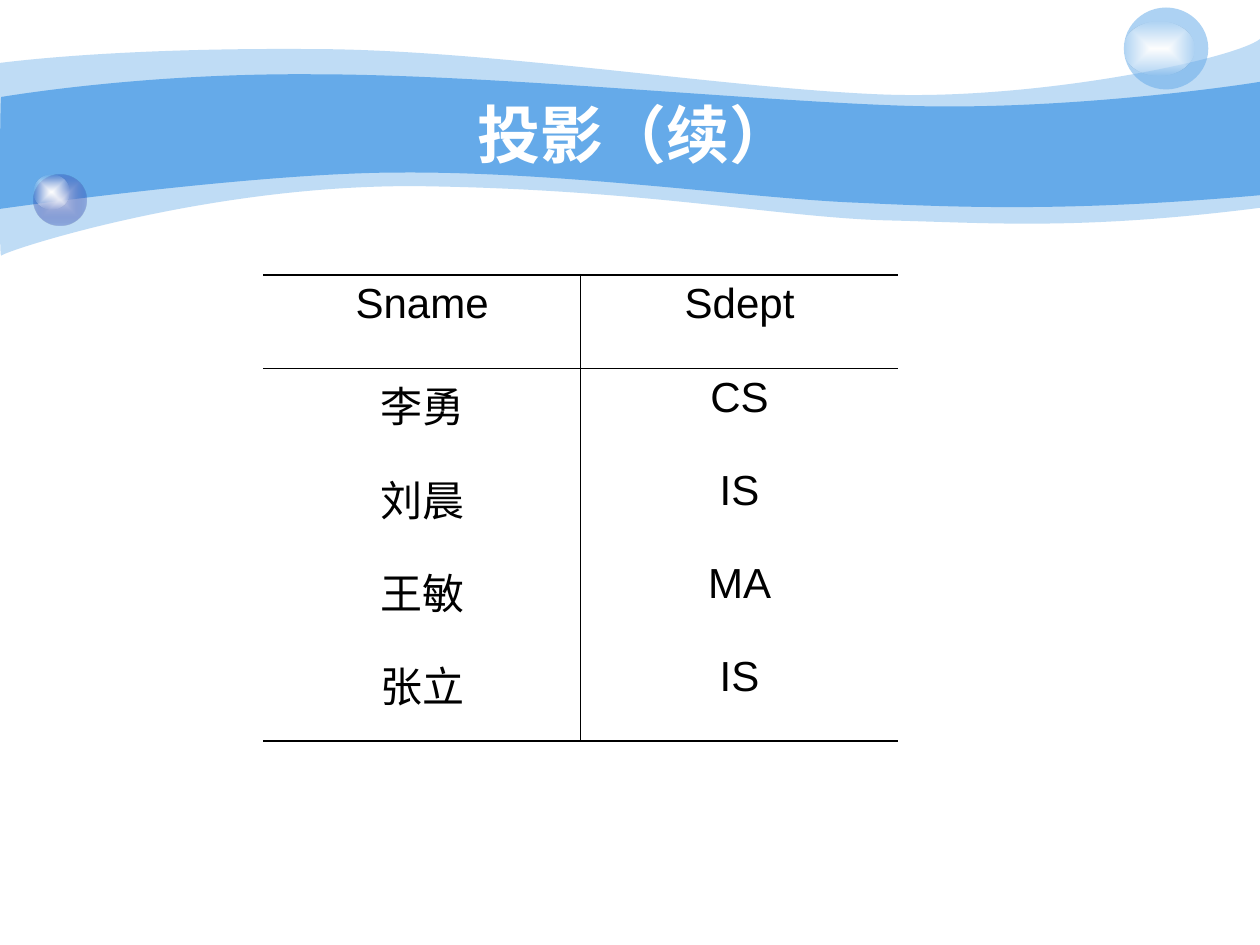
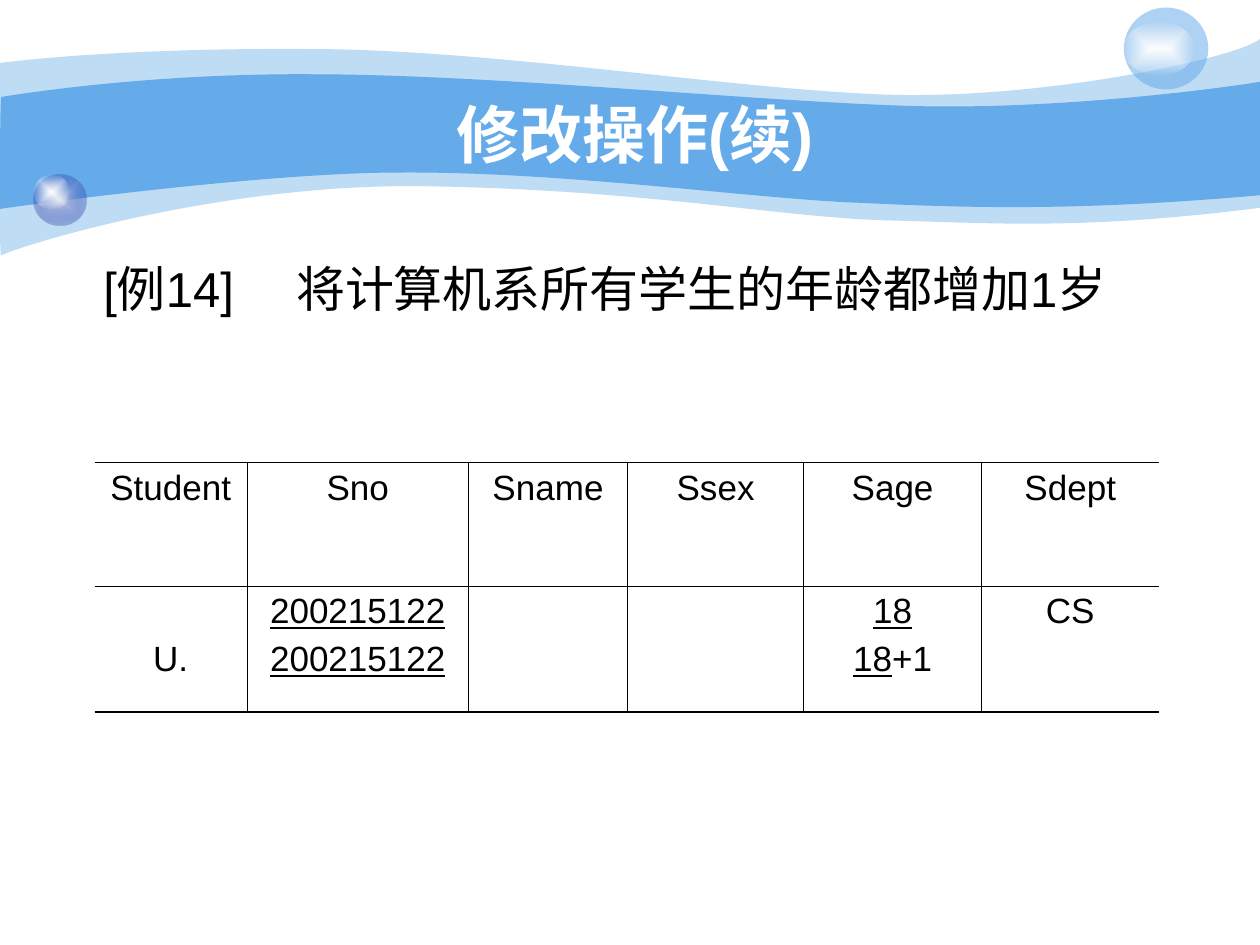
from dataclasses import dataclass
from typing import NamedTuple

from lxml import etree
from pptx import Presentation
from pptx.dml.color import RGBColor
from pptx.enum.shapes import MSO_SHAPE
from pptx.enum.text import MSO_ANCHOR, PP_ALIGN
from pptx.oxml.ns import qn
from pptx.util import Inches, Pt

OVAL = MSO_SHAPE.OVAL
MIDDLE = MSO_ANCHOR.MIDDLE
TOP = MSO_ANCHOR.TOP
CENTER = PP_ALIGN.CENTER
LEFT = PP_ALIGN.LEFT

SKY = RGBColor(0x65, 0xAA, 0xE9)
LILAC = RGBColor(0xC7, 0xCE, 0xE9)
NAVY = RGBColor(0x23, 0x3D, 0xA9)
WHITE = RGBColor(0xFF, 0xFF, 0xFF)
BLACK = RGBColor(0, 0, 0)

FONT = "Arial"
RULE = Pt(1.08)
HAIRLINE = Pt(0.45)
NO_RULE = 0
NO_GRID_STYLE = "{2D5ABB26-0587-4C30-8999-92F81FD0307C}"


class Wave(NamedTuple):
    """A band: a start, then segments of one point (line) or three (Bezier curve)."""
    start: tuple
    segments: tuple
    opacity: int


class Bubble(NamedTuple):
    left: float
    top: float
    width: float
    height: float
    inner: RGBColor
    outer: RGBColor
    outer_opacity: int


class Line(NamedTuple):
    """One line of a cell, its underlined part first."""
    underlined: str = ""
    plain: str = ""


@dataclass
class Cell:
    lines: tuple = ()
    top_inset: float = 0.05


@dataclass
class Grid:
    left: float
    top: float
    columns: tuple
    rows: tuple
    size: int
    cells: list


WAVES = (
    Wave((0, 0.5), (
        ((0.24, 0.47), (1.07, 0.38), (2.47, 0.39)),
        ((3.86, 0.39), (5.75, 0.7), (6.99, 0.75)),
        ((8.22, 0.8), (9.8, 0.47), (10, 0.31)),
        ((10, 1.65),),
        ((8.58, 1.83), (7.87, 1.77), (7.05, 1.75)),
        ((6.22, 1.73), (5.15, 1.51), (3.43, 1.48)),
        ((1.72, 1.44), (0.04, 1.99), (0.01, 2.03)),
        ((-0.01, 2.08), (0, 0.75), (0, 0.5)),
    ), 41),
    Wave((0.01, 0.77), (
        ((0.02, 0.77), (1.1, 0.58), (2.48, 0.59)),
        ((3.86, 0.59), (5.95, 0.8), (7.18, 0.84)),
        ((8.41, 0.88), (9.76, 0.69), (10, 0.65)),
        ((10, 1.55),),
        ((8.53, 1.68), (7.65, 1.65), (6.82, 1.61)),
        ((5.99, 1.58), (4.47, 1.36), (3.17, 1.37)),
        ((2.03, 1.37), (-0.02, 1.66), (-0.01, 1.66)),
        ((0, 1.66), (0, 0.77), (0.01, 0.77)),
    ), 100),
)

BUBBLES = (
    Bubble(0.27, 1.39, 0.42, 0.4, LILAC, NAVY, 31),
    Bubble(0.27, 1.39, 0.28, 0.27, WHITE, WHITE, 0),
    Bubble(8.92, 0.06, 0.67, 0.65, SKY, SKY, 53),
    Bubble(8.92, 0.17, 0.56, 0.43, WHITE, WHITE, 0),
)


def plain_cells(*texts: str) -> list:
    return [Cell((Line(plain=text),)) for text in texts]


PROJECTION = Grid(
    2.09, 2.18, (2.52,) * 2, (0.74,) * 5, 24,
    [plain_cells(*row) for row in (
        ("Sname", "Sdept"), ("李勇", "CS"), ("刘晨", "IS"), ("王敏", "MA"), ("张立", "IS"))],
)

UPDATE = Grid(
    0.75, 3.67, (1.21, 1.76, 1.26, 1.4, 1.41, 1.41), (0.98, 1), 20,
    [
        plain_cells("Student", "Sno", "Sname", "Ssex", "Sage", "Sdept"),
        [
            Cell((Line(plain="U."),), top_inset=0.43),
            Cell((Line("200215122"),) * 2),
            Cell(),
            Cell(),
            Cell((Line("18"), Line("18", "+1"))),
            *plain_cells("CS"),
        ],
    ],
)


def set_opacity(color_holder, percent: int) -> None:
    color = color_holder.find(".//" + qn("a:srgbClr"))
    etree.SubElement(color, qn("a:alpha"), val=str(percent * 1000))


def fill_sky(shape, opacity: int) -> None:
    shape.fill.solid()
    shape.fill.fore_color.rgb = SKY
    if opacity < 100:
        set_opacity(shape.element.spPr.find(qn("a:solidFill")), opacity)


def fill_from_center(shape, bubble: Bubble) -> None:
    """Fade from the inner colour to the translucent outer one."""
    shape.fill.gradient()
    for stop, color in zip(shape.fill.gradient_stops, (bubble.inner, bubble.outer)):
        stop.color.rgb = color
    gradient = shape.element.spPr.find(qn("a:gradFill"))
    set_opacity(gradient.findall(".//" + qn("a:gs"))[-1], bubble.outer_opacity)
    direction = gradient.find(qn("a:lin"))
    center = etree.Element(qn("a:path"), {"path": "rect"})
    etree.SubElement(center, qn("a:fillToRect"), {side: "50000" for side in "ltrb"})
    gradient.replace(direction, center)


def bend(band, segments: tuple) -> None:
    """Join the straight steps of each three-point segment into one Bezier curve."""
    steps = iter(band.element.spPr.findall(".//" + qn("a:lnTo")))
    for segment in segments:
        controls = [next(steps) for _ in segment]
        if len(controls) == 1:
            continue
        curve = etree.Element(qn("a:cubicBezTo"))
        controls[0].addprevious(curve)
        for control in controls:
            curve.append(control.find(qn("a:pt")))
            control.getparent().remove(control)


def add_wave(slide, wave: Wave) -> None:
    builder = slide.shapes.build_freeform(*(Inches(length) for length in wave.start))
    builder.add_line_segments(
        [(Inches(x), Inches(y)) for segment in wave.segments for x, y in segment],
        close=True)
    band = builder.convert_to_shape()
    bend(band, wave.segments)
    band.shadow.inherit = False
    band.line.fill.background()
    fill_sky(band, wave.opacity)


def add_bubble(slide, bubble: Bubble) -> None:
    ball = slide.shapes.add_shape(OVAL, *(Inches(length) for length in bubble[:4]))
    ball.shadow.inherit = False
    ball.line.fill.background()
    if bubble.inner == bubble.outer == SKY:
        fill_sky(ball, bubble.outer_opacity)
    else:
        fill_from_center(ball, bubble)


def style(paragraph, size: int, color: RGBColor, align, bold: bool = False) -> None:
    paragraph.alignment = align
    font = paragraph.font
    font.name, font.size, font.bold = FONT, Pt(size), bold
    font.color.rgb = color


def add_text(slide, text: str, box: tuple, anchor):
    """Add a wrapped text box and return its frame."""
    frame = slide.shapes.add_textbox(*(Inches(length) for length in box)).text_frame
    frame.word_wrap = True
    frame.vertical_anchor = anchor
    frame.text = text
    return frame


def add_titled_slide(deck, title: str):
    slide = deck.slides.add_slide(deck.slide_layouts[6])
    for wave in WAVES:
        add_wave(slide, wave)
    for bubble in BUBBLES:
        add_bubble(slide, bubble)
    heading = add_text(slide, title, (1, 0.75, 8.08, 0.62), MIDDLE)
    style(heading.paragraphs[0], 36, WHITE, CENTER, bold=True)
    return slide


def add_example(slide, number: str, task: str) -> None:
    frame = add_text(slide, f"{number}\t{task}", (0.5, 2, 8.75, 1.44), TOP)
    frame.margin_left = Inches(0.32)
    paragraph = frame.paragraphs[0]
    stops = etree.SubElement(paragraph._p.get_or_add_pPr(), qn("a:tabLst"))
    etree.SubElement(stops, qn("a:tab"), pos=str(Inches(1.53)), algn="l")
    style(paragraph, 28, BLACK, LEFT)


def add_border(cell, side: str, width: int) -> None:
    border = etree.SubElement(cell._tc.get_or_add_tcPr(), qn(f"a:ln{side}"), w=str(width))
    if width == NO_RULE:
        etree.SubElement(border, qn("a:noFill"))
        return
    fill = etree.SubElement(border, qn("a:solidFill"))
    etree.SubElement(fill, qn("a:srgbClr"), val=str(BLACK))


def write_cell(cell, content: Cell, size: int) -> None:
    cell.margin_top = Inches(content.top_inset)
    frame = cell.text_frame
    for index, line in enumerate(content.lines):
        paragraph = frame.add_paragraph() if index else frame.paragraphs[0]
        if index:
            paragraph.space_before = Pt(size / 4)
        style(paragraph, size, BLACK, CENTER)
        for text, underline in zip(line, (True, False)):
            if text:
                run = paragraph.add_run()
                run.text = text
                if underline:
                    run.font.underline = True


def add_grid(slide, grid: Grid) -> None:
    """Draw an open-sided table ruled above, below, under its header and between columns."""
    row_count, column_count = len(grid.rows), len(grid.columns)
    frame = slide.shapes.add_table(
        row_count, column_count, Inches(grid.left), Inches(grid.top),
        Inches(sum(grid.columns)), Inches(sum(grid.rows)))
    table = frame.table
    table.first_row = table.horz_banding = False
    table._tbl.tblPr.find(qn("a:tableStyleId")).text = NO_GRID_STYLE
    across = [RULE, HAIRLINE, *[NO_RULE] * (row_count - 2), RULE]
    down = [NO_RULE, *[HAIRLINE] * (column_count - 1), NO_RULE]
    for column, width in zip(table.columns, grid.columns):
        column.width = Inches(width)
    for r, (row, height) in enumerate(zip(table.rows, grid.rows)):
        row.height = Inches(height)
        for c, cell in enumerate(row.cells):
            write_cell(cell, grid.cells[r][c], grid.size)
            widths = (down[c], down[c + 1], across[r], across[r + 1])
            for side, width in zip("LRTB", widths):
                add_border(cell, side, width)
            cell.fill.background()


def main() -> None:
    deck = Presentation()
    deck.slide_width, deck.slide_height = Inches(10), Inches(7.5)

    projection = add_titled_slide(deck, "投影（续）")
    add_grid(projection, PROJECTION)

    update = add_titled_slide(deck, "修改操作(续)")
    add_example(update, "[例14]", "将计算机系所有学生的年龄都增加1岁")
    add_grid(update, UPDATE)

    deck.save("out.pptx")


if __name__ == "__main__":
    main()
